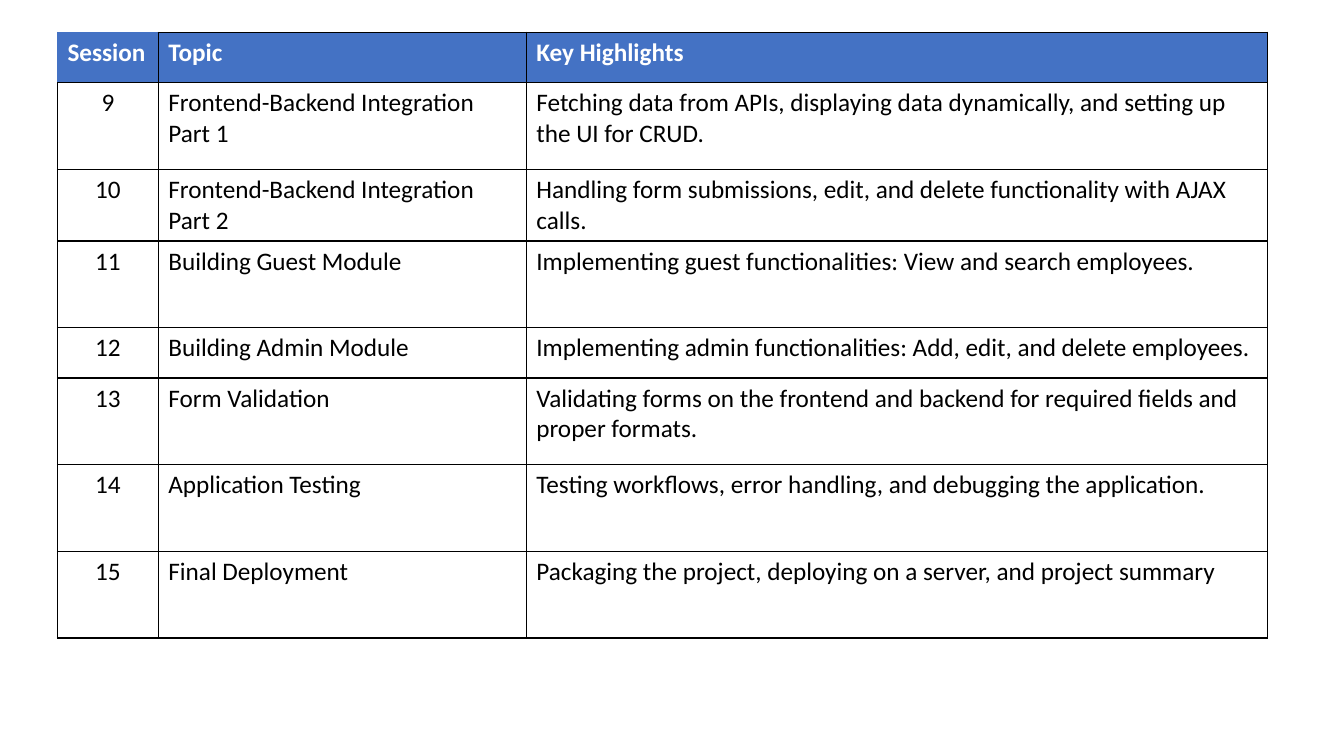
from dataclasses import dataclass

from lxml import etree
from pptx import Presentation
from pptx import util as u
from pptx.dml.color import RGBColor
from pptx.enum import text
from pptx.oxml.ns import qn

BLUE, BLACK, WHITE = "4472C4", "000000", "FFFFFF"
COLUMN_WIDTHS = (1, 3.65, 7.35)
HEADINGS = ("Session", "Topic", "Key Highlights")
SHORT, TALL = 0.5, 0.86


@dataclass
class Session:
    number: int
    topic: str
    highlights: str
    height: float = TALL


SESSIONS = [
    Session(9, "Frontend-Backend Integration Part 1",
            "Fetching data from APIs, displaying data dynamically, "
            "and setting up the UI for CRUD."),
    Session(10, "Frontend-Backend Integration Part 2",
            "Handling form submissions, edit, and delete functionality "
            "with AJAX calls.", SHORT),
    Session(11, "Building Guest Module",
            "Implementing guest functionalities: View and search employees."),
    Session(12, "Building Admin Module",
            "Implementing admin functionalities: Add, edit, and delete "
            "employees.", SHORT),
    Session(13, "Form Validation",
            "Validating forms on the frontend and backend for required "
            "fields and proper formats."),
    Session(14, "Application Testing",
            "Testing workflows, error handling, and debugging the application."),
    Session(15, "Final Deployment",
            "Packaging the project, deploying on a server, and project summary"),
]


def rgb(value: str) -> RGBColor:
    return RGBColor.from_string(value)


def add_borders(cell, corner: bool = False) -> None:
    """Rule all four sides; the corner cell has thin blue outer edges."""
    properties = cell._tc.get_or_add_tcPr()
    for side in "LRTB":
        outer = corner and side in "LT"
        width = u.Pt(0.5 if outer else 1)
        line = etree.SubElement(properties, qn(f"a:ln{side}"), w=str(int(width)))
        fill = etree.SubElement(line, qn("a:solidFill"))
        etree.SubElement(fill, qn("a:srgbClr"), val=BLUE if outer else BLACK)


def write(cell, words: str, *, color: str = BLACK, bold: bool = False,
          align: text.PP_ALIGN = text.PP_ALIGN.LEFT) -> None:
    para = cell.text_frame.paragraphs[0]
    para.alignment = align
    span = para.add_run()
    span.text = words
    span.font.name = "Calibri"
    span.font.size = u.Pt(18)
    span.font.bold = bold
    span.font.color.rgb = rgb(color)


def add_schedule(page) -> None:
    heights = [SHORT] + [session.height for session in SESSIONS]
    table = page.shapes.add_table(
        len(heights), len(HEADINGS), u.Inches(0.57), u.Inches(0.32),
        u.Inches(sum(COLUMN_WIDTHS)), u.Inches(sum(heights))).table
    table.horz_banding = False
    for column, width in zip(table.columns, COLUMN_WIDTHS):
        column.width = u.Inches(width)
    for row, height in zip(table.rows, heights):
        row.height = u.Inches(height)

    for index, heading in enumerate(HEADINGS):
        cell = table.cell(0, index)
        add_borders(cell, corner=index == 0)
        cell.fill.solid()
        cell.fill.fore_color.rgb = rgb(BLUE)
        write(cell, heading, color=WHITE, bold=True)

    for row_index, session in enumerate(SESSIONS, start=1):
        entries = (str(session.number), session.topic, session.highlights)
        for index, entry in enumerate(entries):
            cell = table.cell(row_index, index)
            add_borders(cell)
            cell.fill.background()
            centred = index == 0
            write(cell, entry, align=text.PP_ALIGN.CENTER if centred
                  else text.PP_ALIGN.LEFT)


def main() -> None:
    deck = Presentation()
    deck.slide_width, deck.slide_height = u.Inches(13.33), u.Inches(7.5)
    blank_layout = deck.slide_layouts[6]
    add_schedule(deck.slides.add_slide(blank_layout))
    deck.save("out.pptx")


if __name__ == "__main__":
    main()
